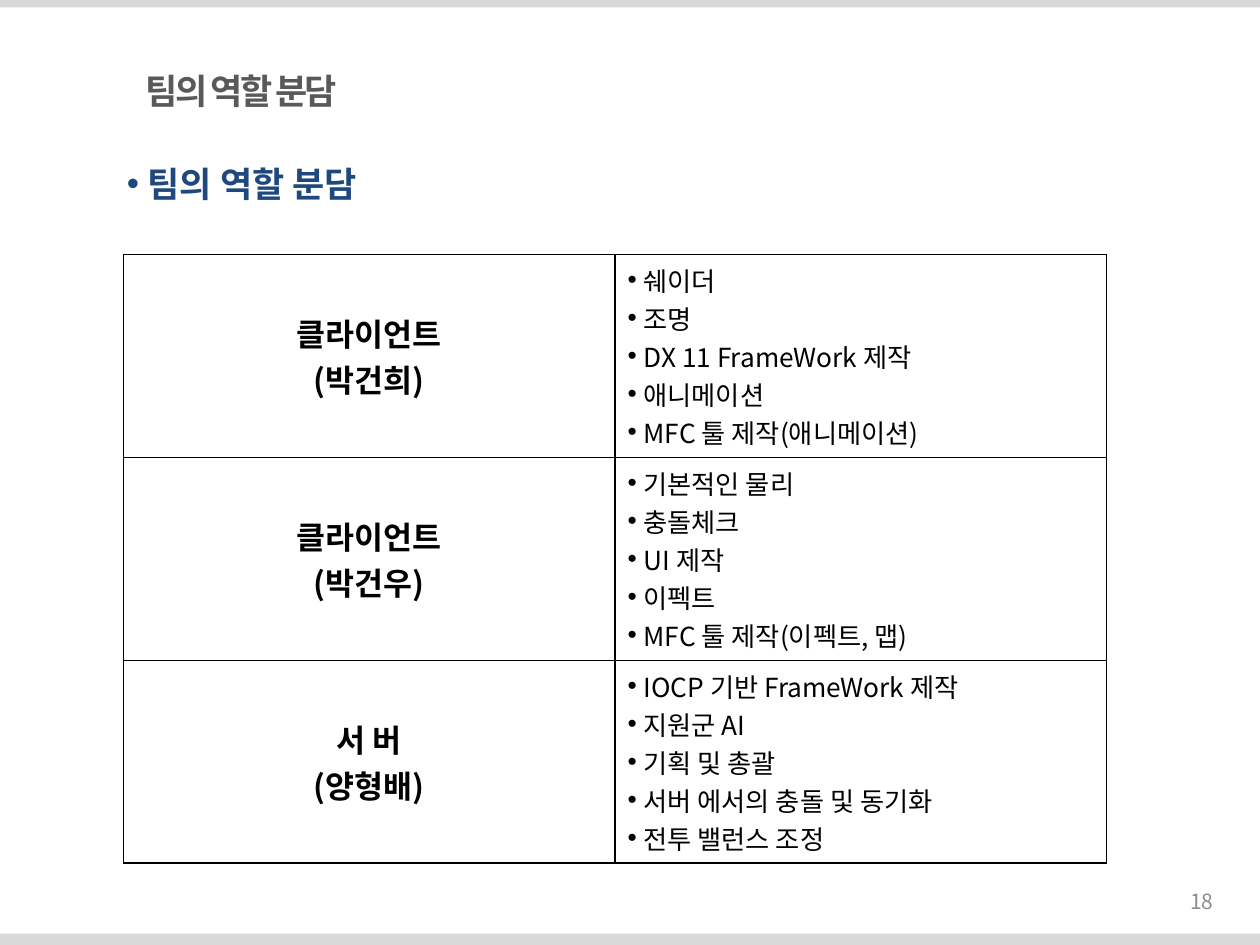
from typing import NamedTuple

from lxml.etree import SubElement
from pptx import Presentation
from pptx.dml.color import RGBColor
from pptx.enum.shapes import MSO_SHAPE as Shape
from pptx.enum.text import MSO_ANCHOR as Anchor, PP_ALIGN as Align
from pptx.oxml.ns import qn
from pptx.util import Cm, Pt

FONT = "Noto Sans CJK KR"
BLACK = RGBColor(0x00, 0x00, 0x00)
BAR = RGBColor(0xD9, 0xD9, 0xD9)
GRAY = RGBColor(0x59, 0x59, 0x59)
PALE = RGBColor(0x8C, 0x8C, 0x8C)
NAVY = RGBColor(0x1F, 0x49, 0x7D)


class Role(NamedTuple):
    title: str
    member: str
    tasks: list[str]


ROLES = [
    Role("클라이언트", "(박건희)",
         ["쉐이더", "조명", "DX 11 FrameWork 제작", "애니메이션",
          "MFC 툴 제작(애니메이션)"]),
    Role("클라이언트", "(박건우)",
         ["기본적인 물리", "충돌체크", "UI 제작", "이펙트",
          "MFC 툴 제작(이펙트, 맵)"]),
    Role("서 버", "(양형배)",
         ["IOCP 기반 FrameWork 제작", "지원군 AI", "기획 및 총괄",
          "서버 에서의 충돌 및 동기화", "전투 밸런스 조정"]),
]


def write(frame, lines: list[str], *, size: float, color: RGBColor = BLACK,
          bold: bool = False, align: Align = Align.LEFT, hang: float = 0,
          space: float = 1, track: float = 0) -> None:
    """Fill a text frame; hang (cm) adds bullets, track (pt) spaces letters."""
    frame.word_wrap = True
    for i, line in enumerate(lines):
        para = frame.paragraphs[0] if i == 0 else frame.add_paragraph()
        para.alignment = align
        para.line_spacing = space
        if hang:
            props = para._p.get_or_add_pPr()
            props.set("marL", str(Cm(hang)))
            props.set("indent", str(-Cm(hang)))
            SubElement(props, qn("a:buFont"), typeface="Arial")
            SubElement(props, qn("a:buChar"), char="•")
        run = para.add_run()
        run.text = line
        font = run.font
        font.size, font.bold, font.name = Pt(size), bold, FONT
        font.color.rgb = color
        mark = run._r.get_or_add_rPr()
        SubElement(mark, qn("a:ea"), typeface=FONT)
        if track:
            mark.set("spc", str(round(track * 100)))


def add_bar(slide, top: float, height: float) -> None:
    bar = slide.shapes.add_shape(Shape.RECTANGLE, 0, Cm(top), Cm(25.4), Cm(height))
    bar.shadow.inherit = False
    bar.fill.solid()
    bar.fill.fore_color.rgb = BAR
    bar.line.fill.background()


def add_text(slide, left: float, top: float, width: float, height: float,
             text: str, anchor: Anchor = Anchor.MIDDLE, **style) -> None:
    box = slide.shapes.add_textbox(Cm(left), Cm(top), Cm(width), Cm(height))
    box.text_frame.vertical_anchor = anchor
    write(box.text_frame, [text], **style)


def frame_cell(cell) -> None:
    """Give a cell black borders, no fill and middle anchoring."""
    props = cell._tc.get_or_add_tcPr()
    for side in ("lnL", "lnR", "lnT", "lnB"):
        line = SubElement(props, qn(f"a:{side}"), w=str(Pt(1)))
        fill = SubElement(line, qn("a:solidFill"))
        SubElement(fill, qn("a:srgbClr"), val=str(BLACK))
    cell.fill.background()
    cell.vertical_anchor = Anchor.MIDDLE


def add_roles(slide, roles: list[Role]) -> None:
    high = Cm(4.09)
    table = slide.shapes.add_table(len(roles), 2, Cm(2.49), Cm(5.13),
                                   Cm(19.82), high * len(roles)).table
    table.first_row = table.horz_banding = False
    for row, role in zip(table.rows, roles):
        row.height = high
        who, work = row.cells
        frame_cell(who)
        frame_cell(work)
        write(who.text_frame, [role.title, role.member], size=18, bold=True,
              align=Align.CENTER)
        write(work.text_frame, role.tasks, size=15, hang=0.32)


def main() -> None:
    deck = Presentation()
    deck.slide_width, deck.slide_height = Cm(25.4), Cm(19.05)
    slide = deck.slides.add_slide(deck.slide_layouts[6])
    add_bar(slide, 0, 0.15)
    add_bar(slide, 18.82, 0.23)
    add_text(slide, 2.69, 0.84, 21.44, 1.55, "팀의 역할 분담", size=20,
             color=GRAY, bold=True, space=1.5, track=-1.5)
    add_text(slide, 22.5, 17.65, 2.21, 1.02, "18", size=12, color=PALE,
             align=Align.RIGHT)
    add_roles(slide, ROLES)
    add_text(slide, 2.31, 3.15, 9.6, 1.12, "팀의 역할 분담", Anchor.TOP,
             size=20, color=NAVY, bold=True, hang=0.42)
    deck.save("out.pptx")


if __name__ == "__main__":
    main()
